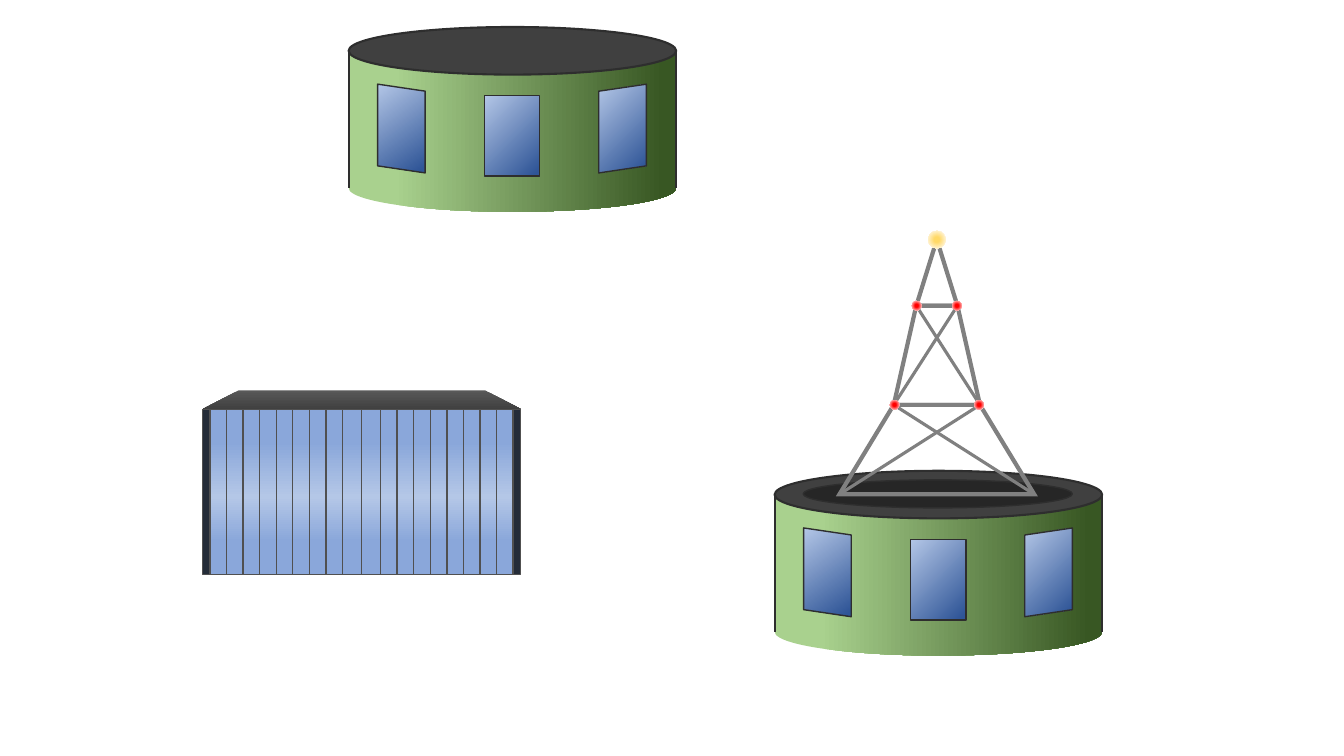
from pptx import Presentation
from pptx.dml.color import RGBColor
from pptx.enum.shapes import MSO_CONNECTOR as Connector, MSO_SHAPE as Preset
from pptx.oxml import parse_xml
from pptx.oxml.ns import nsdecls, qn
from pptx.util import Pt

FACADE = [(20, "8AA7DA"), (53, "B4C7E7"), (80, "8AA7DA")]
WALL = [(14, "A9D18E"), (96, "385723")]
GLASS = [(0, "B4C7E7"), (96, "2F5597")]
ROOF = [(0, "595959"), (100, "404040")]
RED_LAMP = [(19, "FF0000"), (96, "FFFFFF")]
YELLOW_LAMP = [(19, "FFD966"), (96, "FFFFFF")]
SEAM = ("505050", 1)
EDGE = ("2E2E2E", 1.5)
FRAME = ("2E2E2E", 1)
STEEL = ("808080", 3)
BRACE = ("808080", 2.25)


def color(value):
    return RGBColor.from_string(value)


class Painter:
    def __init__(self, slide):
        self.slide = slide

    def outline(self, line, style):
        if style is None:
            line.fill.background()
            return
        line.color.rgb = color(style[0])
        line.width = Pt(style[1])

    def shape(self, preset, left, top, width, height, fill=None, line=None,
              angle=0, adjust=(), rotation=0, flip=False):
        item = self.slide.shapes.add_shape(
            preset, Pt(left), Pt(top), Pt(width), Pt(height))
        item.shadow.inherit = False
        item.rotation = rotation
        for index, value in enumerate(adjust):
            item.adjustments[index] = value
        if flip:
            item._element.spPr.find(qn("a:xfrm")).set("flipV", "1")
        if fill is None:
            item.fill.background()
        elif isinstance(fill, str):
            item.fill.solid()
            item.fill.fore_color.rgb = color(fill)
        else:
            self.gradient(item, fill, angle)
        self.outline(item.line, line)
        if line == STEEL:
            item.line._ln.append(parse_xml(
                f'<a:miter {nsdecls("a")} lim="800000"/>'))
        return item

    def gradient(self, item, stops, angle):
        """Linear fill at an angle; an angle of None makes it radial."""
        listing = "".join(
            f'<a:gs pos="{place * 1000}"><a:srgbClr val="{value}"/></a:gs>'
            for place, value in stops)
        if angle is None:
            course = ('<a:path path="circle"><a:fillToRect l="50000" t="50000" '
                      'r="50000" b="50000"/></a:path>')
        else:
            course = f'<a:lin ang="{angle * 60000}" scaled="0"/>'
        item.fill.gradient()
        properties = item._element.spPr
        properties.replace(properties.find(qn("a:gradFill")), parse_xml(
            f'<a:gradFill {nsdecls("a")} rotWithShape="1">'
            f'<a:gsLst>{listing}</a:gsLst>{course}</a:gradFill>'))

    def line(self, start, end, style):
        item = self.slide.shapes.add_connector(
            Connector.STRAIGHT, *(Pt(value) for value in (*start, *end)))
        self.outline(item.line, style)
        item._element.spPr.append(parse_xml(f'<a:effectLst {nsdecls("a")}/>'))

    def lamp(self, center, size, stops):
        x, y = center
        self.shape(Preset.OVAL, x - size / 2, y - size / 2, size, size, stops,
                   angle=None)

    def round_house(self, left, top):
        width, cap, wall = 234, 34, 98
        rim = top + cap / 2
        self.shape(Preset.RECTANGLE, left, rim, width, wall, WALL)
        self.shape(Preset.OVAL, left, top, width, cap, "404040", EDGE)
        self.shape(Preset.PIE, left, top + wall, width, cap, WALL,
                   adjust=(0, 108))
        for x in (left, left + width):
            self.line((x, rim), (x, rim + wall), EDGE)
        # Two slanted side windows and a straight one in the middle
        for offset, angle, flip in ((6, 325, False), (164, 45, True)):
            self.shape(Preset.PARALLELOGRAM, left + offset, top + 55.5, 63.4, 34,
                       GLASS, FRAME, angle, (0.148,), 90, flip)
        self.shape(Preset.RECTANGLE, left + 97, top + 49, 39.6, 57.6,
                   GLASS, FRAME, 45)


deck = Presentation()
deck.slide_width, deck.slide_height = Pt(960), Pt(540)
painter = Painter(deck.slides.add_slide(deck.slide_layouts[6]))

# Glass hall: eight panels, a double door, eight panels
hall_top, hall_height, panel = 292.3, 118, 11.83
facade_left, door_width = 150, 27.2
door_left = facade_left + 8 * panel
right_wing = door_left + door_width
facade_width = 16 * panel + door_width
panels = [(facade_left, facade_width)]
panels += [(facade_left + i * panel, panel) for i in range(8)]
panels += [(door_left, door_width)]
panels += [(right_wing + i * panel, panel) for i in range(8)]
for left, width in panels:
    painter.shape(Preset.RECTANGLE, left, hall_top, width, hall_height,
                  FACADE, SEAM, 90)
door_middle = door_left + door_width / 2
painter.line((door_middle, hall_top), (door_middle, hall_top + hall_height), SEAM)
for left in (facade_left - 5.5, facade_left + facade_width):
    painter.shape(Preset.RECTANGLE, left, hall_top, 5.5, hall_height,
                  "242C38", SEAM)
painter.shape(Preset.TRAPEZOID, 144.7, 278.8, 227.5, 13.5, ROOF, angle=90,
              adjust=(1.914,))

# Round houses, the second with a dark roof ring for the mast
painter.round_house(249, 19.3)
painter.round_house(553.3, 336.3)
painter.shape(Preset.OVAL, 573.8, 342.8, 192.2, 20, "262626", FRAME)

# Mast: half widths and heights of its levels
axis = 669.2
foot, waist, neck = ((69.5, 353), (30.8, 289.2), (14.7, 218.4))
tip = 171.2
for lower, upper in ((foot, waist), (waist, neck)):
    height = lower[1] - upper[1]
    slant = (lower[0] - upper[0]) / min(2 * lower[0], height)
    painter.shape(Preset.TRAPEZOID, axis - lower[0], upper[1], 2 * lower[0],
                  height, line=STEEL, adjust=(slant,))
painter.shape(Preset.ISOSCELES_TRIANGLE, axis - neck[0], tip, 2 * neck[0],
              neck[1] - tip, line=STEEL)
for lower, upper in ((foot, waist), (waist, neck)):
    for side in (-1, 1):
        painter.line((axis + side * upper[0], upper[1]),
                     (axis - side * lower[0], lower[1]), BRACE)

# Lamps
for half, y in (waist, neck):
    for side in (1, -1):
        painter.lamp((axis + side * half * 0.98, y), 6.8, RED_LAMP)
painter.lamp((axis, tip), 12.6, YELLOW_LAMP)

deck.save("out.pptx")
